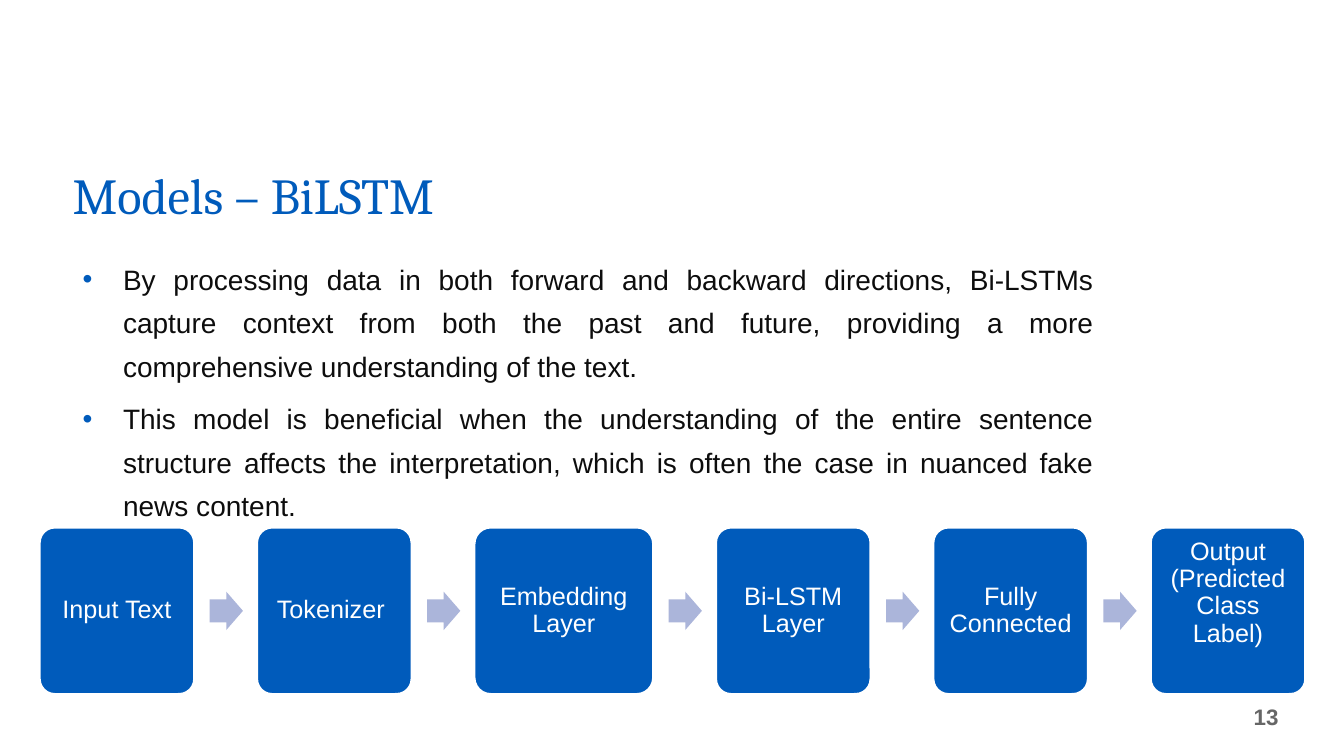
from lxml import etree
from pptx import Presentation
from pptx.dml.color import RGBColor
from pptx.enum.shapes import MSO_SHAPE as Preset
from pptx.enum.text import MSO_ANCHOR as Anchor, MSO_AUTO_SIZE as AutoSize, PP_ALIGN as Align
from pptx.oxml.ns import qn
from pptx.util import Inches, Pt

BLUE = RGBColor(0x00, 0x5B, 0xBB)
PALE_BLUE = RGBColor(0xAB, 0xB5, 0xDA)
WHITE = RGBColor(0xFF, 0xFF, 0xFF)
BLACK = RGBColor(0x0D, 0x0D, 0x0D)
GRAY = RGBColor(0x66, 0x66, 0x66)

BULLETS = [
    "By processing data in both forward and backward directions, Bi-LSTMs capture context "
    "from both the past and future, providing a more comprehensive understanding of the text.",
    "This model is beneficial when the understanding of the entire sentence structure affects "
    "the interpretation, which is often the case in nuanced fake news content.",
]

STEPS = [
    (" Input Text ", 1.54),
    ("Tokenizer ", 1.54),
    ("Embedding Layer", 1.78),
    ("Bi-LSTM Layer", 1.54),
    ("Fully Connected", 1.54),
    ("Output (Predicted Class Label)", 1.54),
]
FLOW_LEFT, FLOW_RIGHT = 0.39, 12.95
STEP_TOP, STEP_HEIGHT = 5.23, 1.66
ARROW_WIDTH, ARROW_HEIGHT = 0.33, 0.38


def place(shape, left, top, width, height):
    shape.left, shape.top = Inches(left), Inches(top)
    shape.width, shape.height = Inches(width), Inches(height)


def write(paragraph, text, *, size, color, font="Arial", bold=False, align=Align.LEFT,
          line_spacing=1.0, space_before=0):
    paragraph.alignment = align
    paragraph.line_spacing = line_spacing
    paragraph.space_before = Pt(space_before)
    run = paragraph.add_run()
    run.text = text
    run.font.name = font
    run.font.size = Pt(size)
    run.font.bold = bold
    run.font.color.rgb = color


def set_frame(shape, anchor, inset_x=0.1, inset_y=0.05):
    frame = shape.text_frame
    frame.word_wrap = True
    frame.auto_size = AutoSize.NONE
    frame.vertical_anchor = anchor
    frame.margin_left = frame.margin_right = Inches(inset_x)
    frame.margin_top = frame.margin_bottom = Inches(inset_y)
    return frame


def add_bullet(paragraph, color):
    properties = paragraph._p.get_or_add_pPr()
    properties.set("marL", str(Inches(0.5)))
    properties.set("indent", str(Inches(-0.4)))
    bullet_color = etree.SubElement(properties, qn("a:buClr"))
    etree.SubElement(bullet_color, qn("a:srgbClr"), val=str(color))
    etree.SubElement(properties, qn("a:buFont"), typeface="Arial")
    etree.SubElement(properties, qn("a:buChar"), char="•")


def fill_title(shape):
    place(shape, 0.62, 1.64, 11.5, 0.65)
    frame = set_frame(shape, Anchor.BOTTOM)
    write(frame.paragraphs[0], "Models – BiLSTM", size=36, color=BLUE, font="Cambria",
          line_spacing=0.9)


def fill_body(shape):
    place(shape, 0.62, 2.45, 10.33, 2.77)
    frame = set_frame(shape, Anchor.TOP)
    for index, text in enumerate(BULLETS):
        paragraph = frame.add_paragraph() if index else frame.paragraphs[0]
        add_bullet(paragraph, BLUE)
        write(paragraph, text, size=20, color=BLACK, align=Align.JUSTIFY,
              line_spacing=1.3, space_before=6 if index else 0)


def add_preset(slide, preset, left, top, width, height, color):
    shape = slide.shapes.add_shape(preset, Inches(left), Inches(top), Inches(width), Inches(height))
    shape.shadow.inherit = False
    shape.fill.solid()
    shape.fill.fore_color.rgb = color
    shape.line.fill.background()
    return shape


def add_step(slide, left, width, text):
    box = add_preset(slide, Preset.ROUNDED_RECTANGLE, left, STEP_TOP, width, STEP_HEIGHT, BLUE)
    box.adjustments[0] = 0.1
    box.line.color.rgb = WHITE
    box.line.width = Pt(2)
    frame = set_frame(box, Anchor.MIDDLE, 0.07, 0.07)
    write(frame.paragraphs[0], text, size=18, color=WHITE, align=Align.CENTER, line_spacing=0.9)
    return box


def add_arrow(slide, left):
    top = STEP_TOP + (STEP_HEIGHT - ARROW_HEIGHT) / 2
    arrow = add_preset(slide, Preset.RIGHT_ARROW, left, top, ARROW_WIDTH, ARROW_HEIGHT, PALE_BLUE)
    arrow.adjustments[0] = 0.6
    arrow.adjustments[1] = 0.5


def add_flow(slide):
    gap = (FLOW_RIGHT - FLOW_LEFT - sum(width for _, width in STEPS)) / (len(STEPS) - 1)
    left = FLOW_LEFT
    for index, (text, width) in enumerate(STEPS):
        if index:
            add_arrow(slide, left - gap + 0.15)
        box = add_step(slide, left, width, text)
        left += width + gap
    box.text_frame.margin_bottom = Inches(0.42)


def add_page_number(slide, number):
    box = slide.shapes.add_textbox(Inches(8.28), Inches(6.91), Inches(4.5), Inches(0.4))
    frame = set_frame(box, Anchor.MIDDLE)
    write(frame.paragraphs[0], number, size=16, color=GRAY, bold=True, align=Align.RIGHT)


def main():
    presentation = Presentation()
    presentation.slide_width = Inches(13.33)
    presentation.slide_height = Inches(7.5)
    slide = presentation.slides.add_slide(presentation.slide_layouts[1])
    fill_title(slide.shapes.title)
    fill_body(slide.placeholders[1])
    add_page_number(slide, "13")
    add_flow(slide)
    presentation.save("out.pptx")


if __name__ == "__main__":
    main()
